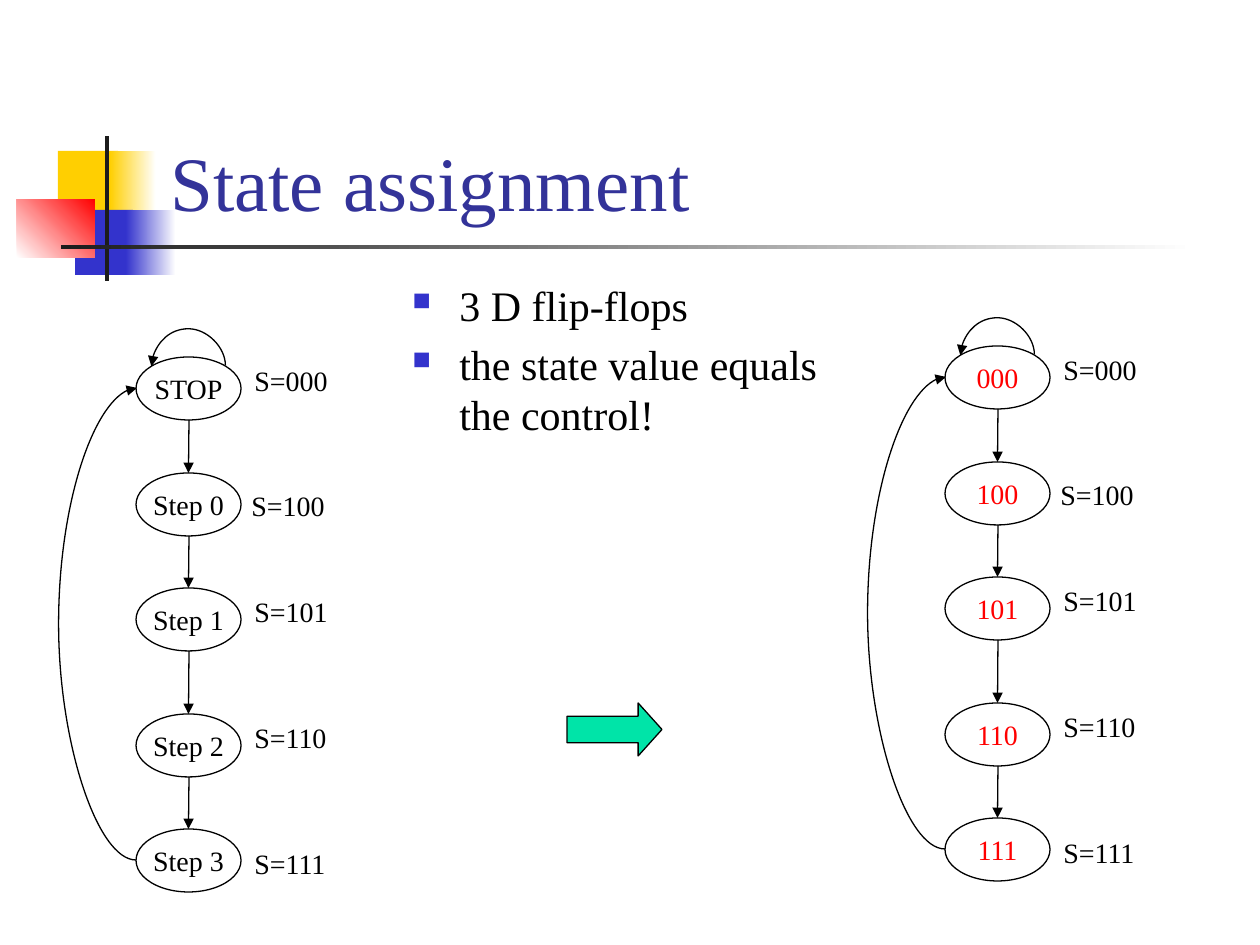
from dataclasses import dataclass

from lxml.etree import SubElement
from pptx import Presentation
from pptx.dml.color import RGBColor
from pptx.enum.shapes import MSO_CONNECTOR, MSO_SHAPE
from pptx.enum.text import MSO_ANCHOR, PP_ALIGN
from pptx.oxml.ns import qn
from pptx.util import Emu, Pt

SCALE = 914400 / 126


@dataclass(frozen=True)
class Theme:
    font: str = "Times New Roman"
    title_size: int = 44
    body_size: int = 24
    node_size: int = 16
    line: float = 0.75
    title: str = "333399"
    ink: str = "000000"
    code: str = "FF0000"
    yellow: str = "FFCF01"
    blue: str = "3333CC"
    dark: str = "1C1C1C"
    white: str = "FFFFFF"
    arrow: str = "00E4A8"


THEME = Theme()
TOPS = (0, 116, 231, 357, 472)
CODES = ("000", "100", "101", "110", "111")
NODE_W, NODE_H = 105, 63


def px(*values):
    return [Emu(round(value * SCALE)) for value in values]


def rgb(color):
    return RGBColor.from_string(color)


def style(paragraph, size, color):
    font = paragraph.font
    font.name, font.size = THEME.font, Pt(size)
    font.color.rgb = rgb(color)


def add_block(slide, box, colors, angle=0):
    """Add a borderless rectangle; two colours make a gradient."""
    block = slide.shapes.add_shape(MSO_SHAPE.RECTANGLE, *px(*box))
    block.shadow.inherit = False
    block.line.fill.background()
    if len(colors) == 1:
        block.fill.solid()
        block.fill.fore_color.rgb = rgb(colors[0])
        return
    block.fill.gradient()
    block.fill.gradient_angle = angle
    for stop, color, place in zip(block.fill.gradient_stops, colors, (0, 1)):
        stop.color.rgb = rgb(color)
        stop.position = place


def add_text(shapes, box, lines, size, color, wrap=True):
    frame = shapes.add_textbox(*px(*box)).text_frame
    frame.word_wrap = wrap
    frame.text = "\n".join(lines)
    for paragraph in frame.paragraphs:
        style(paragraph, size, color)
    return frame


def add_bullet(paragraph):
    props = paragraph._p.get_or_add_pPr()
    indent = px(47)[0]
    props.set("marL", str(indent))
    props.set("indent", str(-indent))
    tint = SubElement(props, qn("a:buClr"))
    SubElement(tint, qn("a:srgbClr"), val=THEME.blue)
    SubElement(props, qn("a:buSzPct"), val="60000")
    SubElement(props, qn("a:buChar"), char="■")


def add_body(slide):
    lines = ("3 D flip-flops", "the state value equals the control!")
    frame = add_text(slide.shapes, (400, 273, 431, 199), lines, THEME.body_size, THEME.ink)
    for paragraph in frame.paragraphs:
        add_bullet(paragraph)
        style(paragraph, THEME.body_size, THEME.ink)
    frame.paragraphs[1].space_before = Pt(5)


def add_node(shapes, left, top, text, color):
    node = shapes.add_shape(MSO_SHAPE.OVAL, *px(left, top, NODE_W, NODE_H))
    node.shadow.inherit = False
    node.fill.background()
    node.line.color.rgb = rgb(THEME.ink)
    node.line.width = Pt(THEME.line)
    frame = node.text_frame
    frame.word_wrap = False
    frame.vertical_anchor = MSO_ANCHOR.MIDDLE
    frame.text = text
    frame.paragraphs[0].alignment = PP_ALIGN.CENTER
    style(frame.paragraphs[0], THEME.node_size, color)
    return node


def add_arrow(shapes, kind, start, end):
    arrow = shapes.add_connector(kind, *px(*start, *end))
    arrow.line.color.rgb = rgb(THEME.ink)
    arrow.line.width = Pt(THEME.line)
    SubElement(arrow.line._get_or_add_ln(), qn("a:tailEnd"), type="triangle")
    SubElement(arrow._element.spPr, qn("a:effectLst"))
    return arrow


def add_bow(shapes, start, end, depth, turn=0):
    """Add a curve one px wide that bulges backwards by depth px."""
    bow = add_arrow(shapes, MSO_CONNECTOR.CURVE, start, end)
    props = bow._element.spPr
    if turn:
        props.find(qn("a:xfrm")).set("rot", str(turn * 60000))
    geom = props.find(qn("a:prstGeom"))
    geom.set("prst", "curvedConnector3")
    guides = geom.find(qn("a:avLst"))
    SubElement(guides, qn("a:gd"), name="adj1", fmla=f"val {-depth * 100000}")


def add_chain(slide, left, top, names, color):
    """Add one state diagram: nodes, transitions and output labels."""
    shapes = slide.shapes.add_group_shape().shapes
    mid = left + NODE_W // 2 + 1
    nodes = [add_node(shapes, left, top + y, name, color) for y, name in zip(TOPS, names)]
    for y, below, node in zip(TOPS, TOPS[1:], nodes[1:]):
        arrow = add_arrow(shapes, MSO_CONNECTOR.STRAIGHT,
                          (mid, top + y + NODE_H), (mid, top + below))
        arrow.end_connect(node, 0)
    side = top + NODE_H // 2
    add_bow(shapes, (left, side + TOPS[-1]), (left + 1, side), 78)
    add_bow(shapes, (mid, top + 46), (mid - 1, top - 28), 37, 270)
    nudges = ((106, 0), (103, 9), (106, 0), (106, 0), (106, 11))
    for y, code, (dx, dy) in zip(TOPS, CODES, nudges):
        add_text(shapes, (left + dx, top + y + dy, 98, 47), [f"S={code}"],
                 THEME.node_size, THEME.ink, wrap=False)


def add_pointer(slide):
    pointer = slide.shapes.add_shape(MSO_SHAPE.RIGHT_ARROW, *px(567, 703, 95, 53))
    pointer.adjustments[1] = 0.45
    pointer.shadow.inherit = False
    pointer.fill.solid()
    pointer.fill.fore_color.rgb = rgb(THEME.arrow)
    pointer.line.color.rgb = rgb(THEME.ink)
    pointer.line.width = Pt(THEME.line)


def add_motif(slide):
    t = THEME
    add_block(slide, (58, 151, 60, 66), [t.yellow])
    add_block(slide, (110, 151, 46, 66), [t.yellow, t.white])
    add_block(slide, (75, 210, 58, 65), [t.blue])
    add_block(slide, (126, 210, 50, 65), [t.blue, t.white])
    add_block(slide, (17, 199, 78, 59), [t.white, t.code], 45)
    add_block(slide, (105, 136, 4, 145), [t.dark])
    add_block(slide, (61, 245, 1134, 4), [t.dark, t.white])


def main():
    deck = Presentation()
    deck.slide_width, deck.slide_height = px(1260, 945)
    slide = deck.slides.add_slide(deck.slide_layouts[6])
    add_motif(slide)
    title = add_text(slide.shapes, (158, 31, 1074, 202), ["State assignment"],
                     THEME.title_size, THEME.title)
    title.vertical_anchor = MSO_ANCHOR.BOTTOM
    add_body(slide)
    steps = ["STOP"] + [f"Step {number}" for number in range(4)]
    add_chain(slide, 136, 357, steps, THEME.ink)
    add_chain(slide, 945, 346, CODES, THEME.code)
    add_pointer(slide)
    deck.save("out.pptx")


if __name__ == "__main__":
    main()
